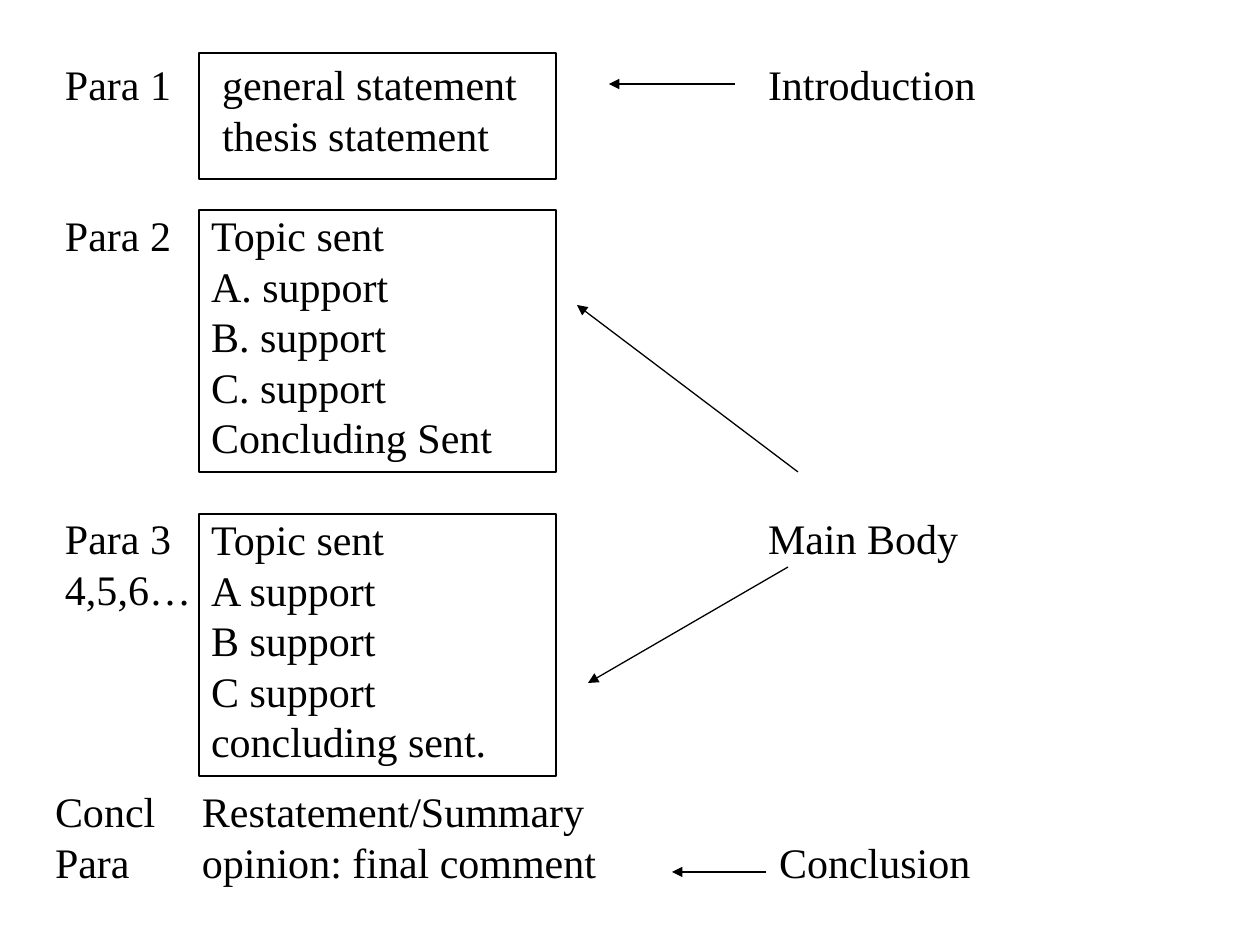
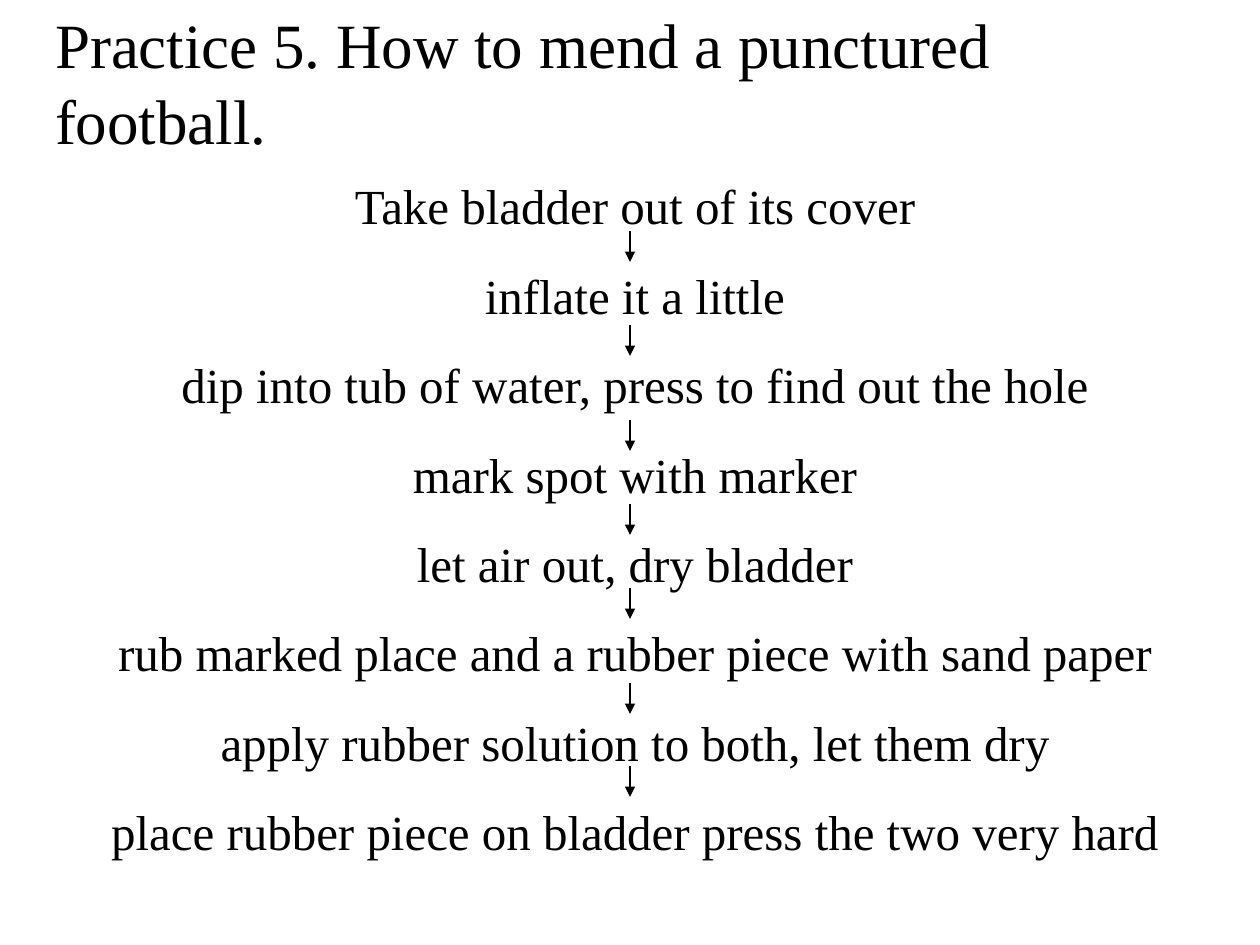
import pptx
import pptx.util
import pptx.dml.color
import pptx.enum.shapes
import pptx.enum.text
import lxml.etree

PX = 914400 / 126
FONT, INK = "Times New Roman", "000000"
A = "http://schemas.openxmlformats.org/drawingml/2006/main"
ALIGN = pptx.enum.text.PP_ALIGN

# Essay plan: x, y, width, lines
LABELS = [
    (65, 59, 130, ["Para 1"]),
    (65, 210, 130, ["Para 2"]),
    (65, 513, 130, ["Para 3", "4,5,6…"]),
    (55, 786, 130, ["Concl", "Para"]),
    (202, 786, 440, ["Restatement/Summary", "opinion: final comment"]),
    (768, 59, 260, ["Introduction"]),
    (768, 513, 260, ["Main Body"]),
    (779, 837, 260, ["Conclusion"]),
]
# Boxes: y, height, left inset, top inset, lines
BOXES = [
    (53, 126, 23, 6, ["general statement", "thesis statement"]),
    (210, 262, 12, 0, ["Topic sent", "A. support", "B. support",
                       "C. support", "Concluding Sent"]),
    (514, 262, 12, 0, ["Topic sent", "A support", "B support",
                       "C support", "concluding sent."]),
]
# Arrows: from x, y to x, y
LINKS = [(735, 84, 609, 84), (798, 472, 577, 305),
         (788, 567, 588, 683), (766, 872, 672, 872)]

# Football steps
TITLE = "Practice 5. How to mend a punctured football."
STEPS = [
    "Take bladder out of its cover",
    "inflate it a little",
    "dip into tub of water, press to find out the hole",
    "mark spot with marker",
    "let air out, dry bladder",
    "rub marked place and a rubber piece with sand paper",
    "apply rubber solution to both, let them dry",
    "place rubber piece on bladder press the two very hard",
]
DROPS = [231, 325, 420, 504, 588, 683, 766]


def px(n):
    return round(n * PX)


def paint(fmt, color):
    fmt.solid()
    fmt.fore_color.rgb = pptx.dml.color.RGBColor.from_string(color)


def write(shape, lines, size=24, align=ALIGN.LEFT, gap=0, inset=(0, 0)):
    frame = shape.text_frame
    frame.word_wrap = True
    frame.vertical_anchor = pptx.enum.text.MSO_ANCHOR.TOP
    frame.margin_left, frame.margin_top = map(px, inset)
    frame.margin_right = frame.margin_bottom = 0
    frame.text = "\n".join(lines)
    for i, para in enumerate(frame.paragraphs):
        para.alignment = align
        para.line_spacing = pptx.util.Pt(size * 1.2)
        para.space_before = pptx.util.Pt(gap if i else 0)
        para.font.name = FONT
        para.font.size = pptx.util.Pt(size)
        paint(para.font.fill, INK)


def label(slide, x, y, w, h, lines, **style):
    write(slide.shapes.add_textbox(px(x), px(y), px(w), px(h)), lines, **style)


def box(slide, y, h, left, top, lines):
    rect = slide.shapes.add_shape(pptx.enum.shapes.MSO_SHAPE.RECTANGLE,
                                  px(199), px(y), px(357), px(h))
    rect.shadow.inherit = False
    rect.fill.background()
    paint(rect.line.fill, INK)
    rect.line.width = pptx.util.Pt(0.75)
    write(rect, lines, inset=(left, top))


def arrow(slide, ends, width):
    line = slide.shapes.add_connector(
        pptx.enum.shapes.MSO_CONNECTOR.STRAIGHT, *map(px, ends))
    paint(line.line.fill, INK)
    line.line.width = pptx.util.Pt(width)
    props = line._element.spPr
    lxml.etree.SubElement(line.line._get_or_add_ln(), f"{{{A}}}tailEnd",
                          type="triangle")
    lxml.etree.SubElement(props, f"{{{A}}}effectLst")


def main():
    deck = pptx.Presentation()
    deck.slide_width, deck.slide_height = px(1260), px(945)
    blank = deck.slide_layouts[6]

    # Essay plan
    plan = deck.slides.add_slide(blank)
    for part in BOXES:
        box(plan, *part)
    for x, y, w, lines in LABELS:
        label(plan, x, y, w, 51 * len(lines), lines)
    for ends in LINKS:
        arrow(plan, ends, 0.75)

    # Football steps
    flow = deck.slides.add_slide(blank)
    label(flow, 55, 6, 1100, 152, [TITLE], size=36)
    label(flow, 54, 176, 1162, 690, STEPS, size=28, align=ALIGN.CENTER, gap=17.5)
    for y in DROPS:
        arrow(flow, (630, y, 630, y + 31), 1)

    deck.save("out.pptx")


if __name__ == "__main__":
    main()
